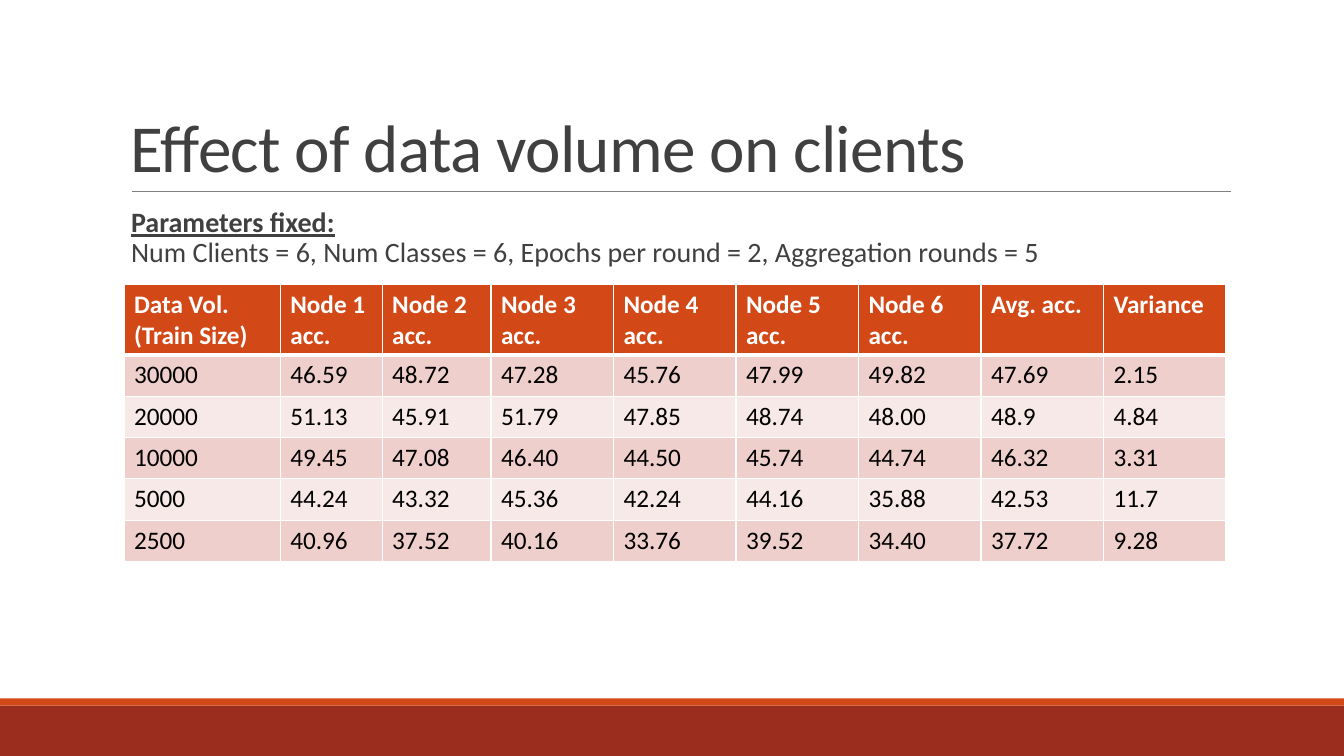
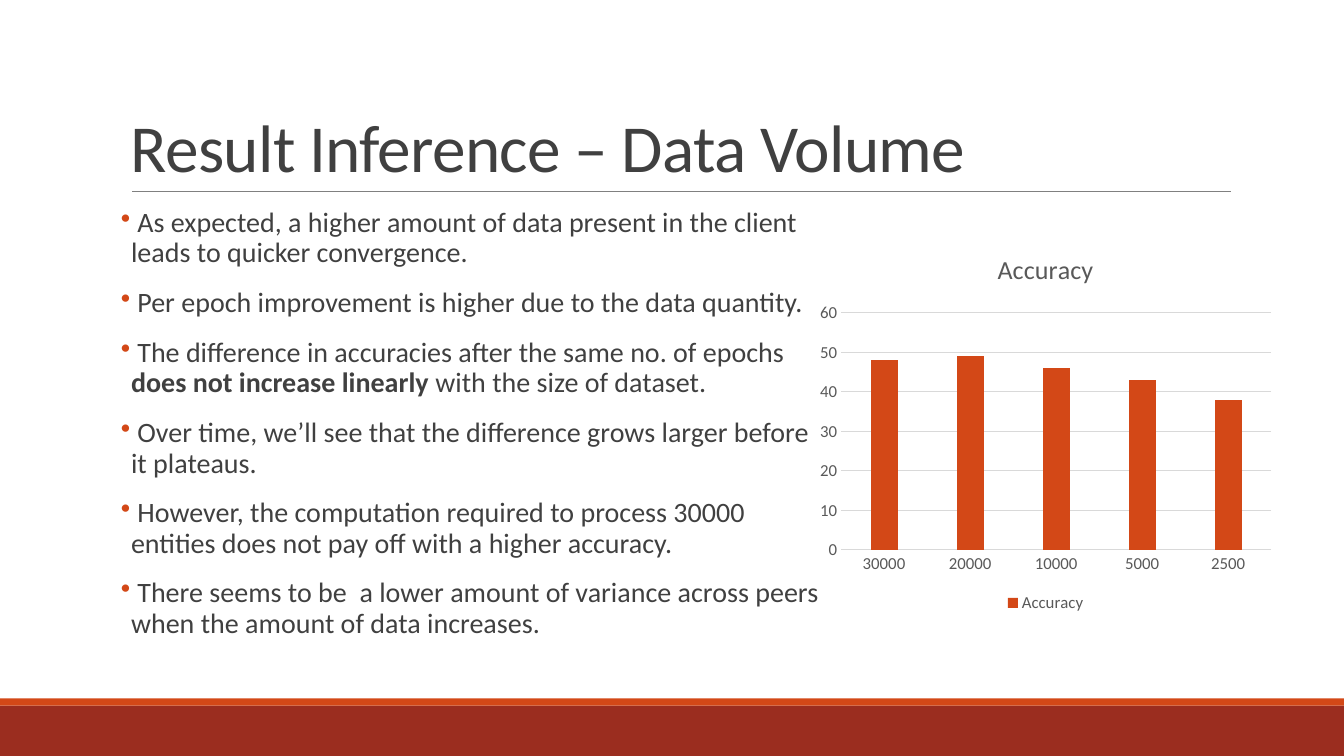
import pptx
import pptx.chart.data
import pptx.dml.color
import pptx.enum.chart
import pptx.enum.shapes
import pptx.enum.text
import pptx.oxml
import pptx.oxml.ns
import pptx.util
from dataclasses import dataclass
from lxml import etree

Inches = pptx.util.Inches
Pt = pptx.util.Pt
Color = pptx.dml.color.RGBColor.from_string
qn = pptx.oxml.ns.qn


@dataclass(frozen=True)
class Theme:
    font: str = "Calibri"
    ink: str = "404040"
    accent: str = "D34817"
    band: str = "9B2D1F"
    rule: str = "808080"
    white: str = "FFFFFF"
    black: str = "000000"
    row_fills: tuple = ("EFCFCC", "F7E9E8")
    chart_text: str = "595959"
    grid: str = "D9D9D9"
    title_size: float = 48
    body_size: float = 20
    table_size: float = 18
    chart_title_size: float = 18.6
    chart_size: float = 12


theme = Theme()
deck = pptx.Presentation()
deck.slide_width = Inches(13.33)
deck.slide_height = Inches(7.5)


def set_font(font, size, color, bold=False):
    font.name = theme.font
    font.size = Pt(size)
    font.color.rgb = Color(color)
    font.bold = bold


def add_page(title, paragraphs, bulleted, underline_bold=False):
    page = deck.slides.add_slide(deck.slide_layouts[6])
    for top, height, color in ((7, 0.5, theme.band), (6.93, 0.07, theme.accent)):
        band = page.shapes.add_shape(
            pptx.enum.shapes.MSO_SHAPE.RECTANGLE, 0, Inches(top), deck.slide_width, Inches(height))
        band.shadow.inherit = False
        band.fill.solid()
        band.fill.fore_color.rgb = Color(color)
        band.line.fill.background()

    rule = page.shapes.add_connector(
        pptx.enum.shapes.MSO_CONNECTOR.STRAIGHT, Inches(1.31), Inches(1.9), Inches(12.21), Inches(1.9))
    rule.line.color.rgb = Color(theme.rule)
    rule.line.width = Pt(0.5)
    etree.SubElement(rule._element.spPr, qn("a:effectLst"))

    title_box = page.shapes.add_textbox(Inches(1.2), Inches(0.31), Inches(11), Inches(1.59))
    title_frame = title_box.text_frame
    title_frame.word_wrap = True
    title_frame.vertical_anchor = pptx.enum.text.MSO_ANCHOR.BOTTOM
    para = title_frame.paragraphs[0]
    para.text = title
    para.line_spacing = 0.85
    set_font(para.font, theme.title_size, theme.ink)
    para.font._element.set("spc", "-50")

    body_box = page.shapes.add_textbox(Inches(1.2), Inches(2.02), Inches(11), Inches(4.4))
    body_frame = body_box.text_frame
    body_frame.word_wrap = True
    body_frame.margin_left = body_frame.margin_right = 0
    for index, text in enumerate(paragraphs):
        para = body_frame.add_paragraph() if index else body_frame.paragraphs[0]
        para.line_spacing = 0.9
        para.space_before = Pt(12 if index else 0)
        para.space_after = Pt(2)
        properties = para._p.get_or_add_pPr()
        properties.set("marL", str(Inches(0.1)))
        properties.set("indent", str(Inches(-0.1 if bulleted else 0)))
        if bulleted:
            bullet_color = etree.SubElement(properties, qn("a:buClr"))
            etree.SubElement(bullet_color, qn("a:srgbClr")).set("val", theme.accent)
            etree.SubElement(properties, qn("a:buChar")).set("char", "•")
        set_font(para.font, theme.body_size, theme.ink)
        for line_index, line in enumerate(text.split("\n")):
            if line_index:
                para.add_line_break()
            for span_index, words in enumerate(line.split("**")):
                if words:
                    span = para.add_run()
                    span.text = words
                    if span_index % 2:
                        span.font.bold = True
                        span.font.underline = underline_bold
    return page


table_page = add_page(
    "Effect of data volume on clients",
    ["**Parameters fixed:**\nNum Clients = 6, Num Classes = 6, Epochs per round = 2, Aggregation rounds = 5"],
    bulleted=False, underline_bold=True)

header = ["Data Vol. (Train Size)", *(f"Node {node} acc." for node in range(1, 7)), "Avg. acc.", "Variance"]
results = [
    ["30000", "46.59", "48.72", "47.28", "45.76", "47.99", "49.82", "47.69", "2.15"],
    ["20000", "51.13", "45.91", "51.79", "47.85", "48.74", "48.00", "48.9", "4.84"],
    ["10000", "49.45", "47.08", "46.40", "44.50", "45.74", "44.74", "46.32", "3.31"],
    ["5000", "44.24", "43.32", "45.36", "42.24", "44.16", "35.88", "42.53", "11.7"],
    ["2500", "40.96", "37.52", "40.16", "33.76", "39.52", "34.40", "37.72", "9.28"],
]
table_width = 10.93
first_widths = [1.55, 1.01, 1.08]
other_count = len(header) - len(first_widths)
widths = first_widths + [(table_width - sum(first_widths)) / other_count] * other_count

table = table_page.shapes.add_table(
    len(results) + 1, len(header), Inches(1.23), Inches(2.82), Inches(table_width), Inches(2.73)).table
table.horz_banding = False
for column, width in zip(table.columns, widths):
    column.width = Inches(width)
for row_index, values in enumerate([header] + results):
    is_header = row_index == 0
    table.rows[row_index].height = Inches(0.69 if is_header else 0.41)
    for column_index, value in enumerate(values):
        cell = table.cell(row_index, column_index)
        para = cell.text_frame.paragraphs[0]
        para.text = value
        set_font(para.font, theme.table_size, theme.white if is_header else theme.black, is_header)
        for side in ("lnL", "lnR", "lnT", "lnB"):
            thick = (is_header and side == "lnB") or (row_index == 1 and side == "lnT")
            border = etree.SubElement(cell._tc.get_or_add_tcPr(), qn(f"a:{side}"))
            border.set("w", str(Pt(3 if thick else 1)))
            border_fill = etree.SubElement(border, qn("a:solidFill"))
            etree.SubElement(border_fill, qn("a:srgbClr")).set("val", theme.white)
        cell.fill.solid()
        cell.fill.fore_color.rgb = Color(theme.accent if is_header else theme.row_fills[(row_index - 1) % 2])

chart_page = add_page(
    "Result Inference – Data Volume",
    [
        " As expected, a higher amount of data present in the client\nleads to quicker convergence.",
        " Per epoch improvement is higher due to the data quantity.",
        " The difference in accuracies after the same no. of epochs\n"
        "**does not increase linearly** with the size of dataset.",
        " Over time, we’ll see that the difference grows larger before\nit plateaus.",
        " However, the computation required to process 30000\nentities does not pay off with a higher accuracy.",
        " There seems to be  a lower amount of variance across peers\nwhen the amount of data increases.",
    ],
    bulleted=True)

average_column = header.index("Avg. acc.")
chart_data = pptx.chart.data.CategoryChartData()
chart_data.categories = [values[0] for values in results]
chart_data.add_series("Accuracy", [round(float(values[average_column])) for values in results])
chart = chart_page.shapes.add_chart(
    pptx.enum.chart.XL_CHART_TYPE.COLUMN_CLUSTERED,
    Inches(8.04), Inches(2.32), Inches(4.66), Inches(3.8), chart_data).chart
set_font(chart.font, theme.chart_size, theme.chart_text)

chart.has_title = True
para = chart.chart_title.text_frame.paragraphs[0]
para.text = "Accuracy"
set_font(para.font, theme.chart_title_size, theme.chart_text)

chart.has_legend = True
chart.legend.position = pptx.enum.chart.XL_LEGEND_POSITION.BOTTOM
chart.legend.include_in_layout = False

plot = chart.plots[0]
plot.gap_width = 219
plot.overlap = -27
plot.vary_by_categories = False
bars = plot.series[0].format.fill
bars.solid()
bars.fore_color.rgb = Color(theme.accent)

value_axis = chart.value_axis
value_axis.minimum_scale = 0
value_axis.maximum_scale = 60
value_axis.major_unit = 10
for axis in (chart.category_axis, value_axis):
    axis.major_tick_mark = pptx.enum.chart.XL_TICK_MARK.NONE
value_axis.format.line.fill.background()
for line in (chart.category_axis.format.line, value_axis.major_gridlines.format.line):
    line.color.rgb = Color(theme.grid)
    line.width = Pt(0.75)

deck.save("out.pptx")
